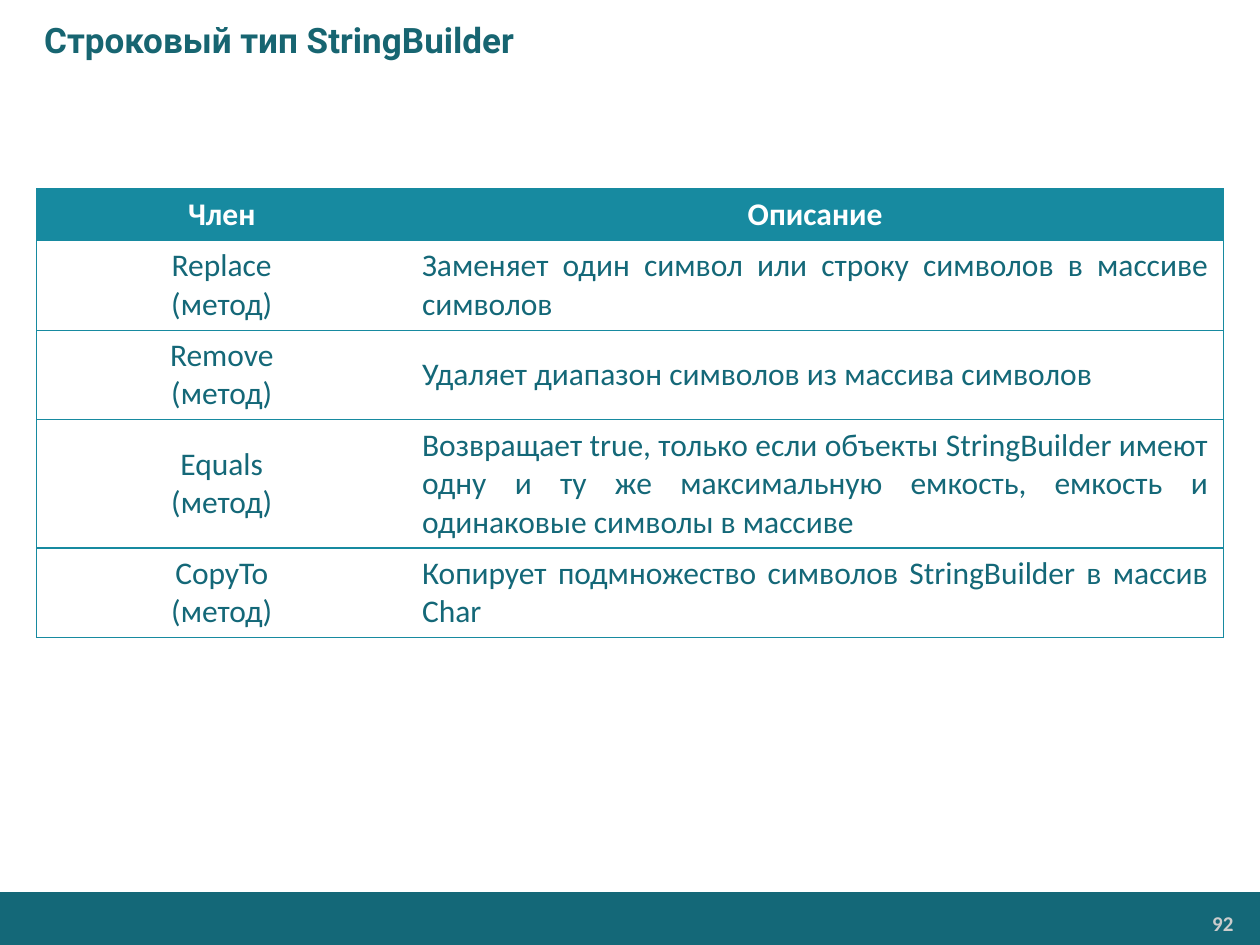
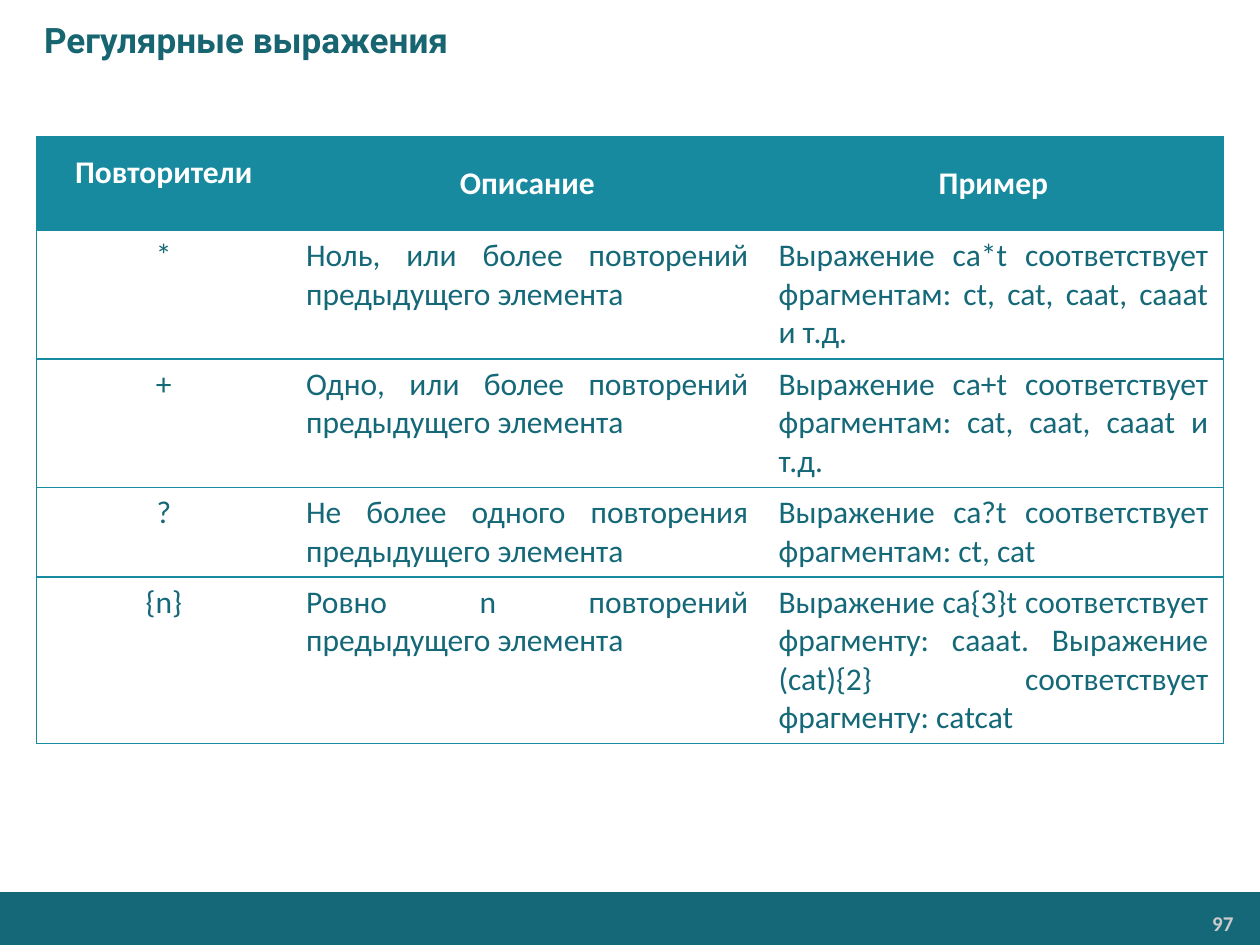
"""Build two reference slides with tables on StringBuilder members and regex quantifiers."""
from dataclasses import dataclass

from lxml.etree import SubElement
from pptx import Presentation
from pptx.dml.color import RGBColor
from pptx.enum.shapes import MSO_SHAPE
from pptx.enum.text import MSO_ANCHOR, MSO_AUTO_SIZE, PP_ALIGN
from pptx.oxml.ns import qn
from pptx.presentation import Presentation as Deck
from pptx.slide import Slide
from pptx.table import Table, _Cell
from pptx.text.text import TextFrame
from pptx.util import Inches, Pt

COLORS = {
    "band": "146878",
    "title": "176571",
    "header": "178AA0",
    "border": "178AA0",
    "text": "146878",
    "header_text": "FFFFFF",
    "cell": "FFFFFF",
    "number": "CCCCCC",
}
PLAIN_TABLE = "{2D5ABB26-0587-4C30-8999-92F81FD0307C}"
TITLE_FONT, BODY_FONT = "Roboto", "Calibri"
TABLE_LEFT, TABLE_WIDTH = 0.29, 9.42


@dataclass(frozen=True)
class TableSlide:
    """Describe one slide: its title, number and table."""
    title: str
    number: int
    top: float
    columns: tuple[float, ...]
    header_height: float
    lines: tuple[int, ...]
    body_anchor: MSO_ANCHOR
    rows: tuple[tuple[str, ...], ...]


SLIDES = (
    TableSlide(
        "Строковый тип StringBuilder", 92, 1.5, (2.94, 6.48), 0.41,
        (2, 2, 3, 2), MSO_ANCHOR.MIDDLE,
        (
            ("Член", "Описание"),
            ("Replace\n(метод)", "Заменяет один символ или строку символов в массиве символов"),
            ("Remove\n(метод)", "Удаляет диапазон символов из массива символов"),
            ("Equals\n(метод)", "Возвращает true, только если объекты StringBuilder имеют одну "
             "и ту же максимальную емкость, емкость и одинаковые символы в массиве"),
            ("СоруТо\n(метод)", "Копирует подмножество символов StringBuilder в массив Char"),
        ),
    ),
    TableSlide(
        "Регулярные выражения", 97, 1.08, (2.02, 3.75, 3.65), 0.75,
        (3, 3, 2, 4), MSO_ANCHOR.TOP,
        (
            ("Повторители", "Описание", "Пример"),
            ("*", "Ноль, или более повторений предыдущего элемента",
             "Выражение ca*t соответствует фрагментам: ct, cat, caat, caaat и т.д."),
            ("+", "Одно, или более повторений предыдущего элемента",
             "Выражение ca+t соответствует фрагментам: cat, caat, caaat и т.д."),
            ("?", "Не более одного повторения предыдущего элемента",
             "Выражение ca?t соответствует фрагментам: ct, cat"),
            ("{n}", "Ровно n повторений предыдущего элемента",
             "Выражение ca{3}t соответствует фрагменту: cаааt. "
             "Выражение (cat){2} соответствует фрагменту: cаtcat"),
        ),
    ),
)


def rgb(name: str) -> RGBColor:
    """Return a palette colour."""
    return RGBColor.from_string(COLORS[name])


def set_text(tf: TextFrame, text: str, font: str, size: int, color: str,
             bold: bool, align: PP_ALIGN) -> None:
    """Fill a text frame and format all of its runs alike."""
    tf.text = text
    tf.word_wrap = True
    for p in tf.paragraphs:
        p.alignment = align
        for r in p.runs:
            r.font.name = font
            r.font.size = Pt(size)
            r.font.bold = bold
            r.font.color.rgb = rgb(color)


def add_title(s: Slide, text: str) -> None:
    """Place and format the title placeholder."""
    sp = s.shapes.title
    sp.left, sp.top, sp.width, sp.height = Inches(0), Inches(0), Inches(10), Inches(0.63)
    tf = sp.text_frame
    set_text(tf, text, TITLE_FONT, 20, "title", True, PP_ALIGN.LEFT)
    tf.auto_size = MSO_AUTO_SIZE.NONE
    tf.vertical_anchor = MSO_ANCHOR.MIDDLE
    tf.margin_left = Inches(0.35)


def add_footer(s: Slide, number: int) -> None:
    """Draw the bottom band with the slide number."""
    band = s.shapes.add_shape(MSO_SHAPE.RECTANGLE, Inches(0), Inches(7.08),
                              Inches(10), Inches(0.42))
    band.shadow.inherit = False
    band.fill.solid()
    band.fill.fore_color.rgb = rgb("band")
    band.line.fill.background()
    sp = s.shapes.add_textbox(Inches(8.23), Inches(7.19), Inches(1.63), Inches(0.28))
    tf = sp.text_frame
    set_text(tf, str(number), BODY_FONT, 12, "number", True, PP_ALIGN.RIGHT)
    tf.margin_left = tf.margin_right = Inches(0.07)
    tf.margin_top = tf.margin_bottom = Inches(0.04)


def set_borders(cell: _Cell, sides: str) -> None:
    """Draw the given sides of a cell (letters L, R, T, B) and clear the others."""
    tc_pr = cell._tc.get_or_add_tcPr()
    for side in "LRTB":
        ln = SubElement(tc_pr, qn(f"a:ln{side}"), w=str(Pt(0.75)))
        if side in sides:
            fill = SubElement(ln, qn("a:solidFill"))
            SubElement(fill, qn("a:srgbClr"), val=COLORS["border"])
        else:
            SubElement(ln, qn("a:noFill"))


def format_cell(cell: _Cell, text: str, is_header: bool, is_first: bool, is_last: bool,
                anchor: MSO_ANCHOR) -> None:
    """Write one cell and set its fill, borders and alignment."""
    align = PP_ALIGN.CENTER if is_header or is_first else PP_ALIGN.JUSTIFY
    set_text(cell.text_frame, text, BODY_FONT, 18,
             "header_text" if is_header else "text", is_header, align)
    cell.vertical_anchor = MSO_ANCHOR.MIDDLE if is_header else anchor
    cell.margin_left = cell.margin_right = Inches(0.12)
    cell.margin_top = cell.margin_bottom = Inches(0.05)
    set_borders(cell, "TB" + "L" * is_first + "R" * is_last)
    cell.fill.solid()
    cell.fill.fore_color.rgb = rgb("header" if is_header else "cell")


def add_table(s: Slide, spec: TableSlide) -> Table:
    """Draw the table, with row heights that follow from the text line counts."""
    heights = [spec.header_height] + [round(0.1 + 0.305 * n, 2) for n in spec.lines]
    table = s.shapes.add_table(len(spec.rows), len(spec.columns), Inches(TABLE_LEFT),
                               Inches(spec.top), Inches(TABLE_WIDTH),
                               Inches(sum(heights))).table
    table._tbl.tblPr.find(qn("a:tableStyleId")).text = PLAIN_TABLE
    table.horz_banding = False
    for column, width in zip(table.columns, spec.columns):
        column.width = Inches(width)
    for i, (row, height) in enumerate(zip(spec.rows, heights)):
        table.rows[i].height = Inches(height)
        for j, text in enumerate(row):
            format_cell(table.cell(i, j), text, i == 0, j == 0,
                        j == len(row) - 1, spec.body_anchor)
    return table


def raise_first_heading(table: Table) -> None:
    """Set the first heading in tight lines, so that it sits above its neighbours."""
    cell = table.cell(0, 0)
    cell.margin_left = cell.margin_right = Inches(0.09)
    cell.margin_top = cell.margin_bottom = Inches(0)
    p = cell.text_frame.paragraphs[0]
    p.line_spacing = Pt(10)
    p.space_after = Pt(2)


def add_slide(prs: Deck, spec: TableSlide) -> Table:
    """Add one complete slide and return its table."""
    s = prs.slides.add_slide(prs.slide_layouts[5])
    add_footer(s, spec.number)
    add_title(s, spec.title)
    return add_table(s, spec)


def main() -> None:
    """Build and save the presentation."""
    prs = Presentation()
    prs.slide_width, prs.slide_height = Inches(10), Inches(7.5)
    members, quantifiers = [add_slide(prs, spec) for spec in SLIDES]
    raise_first_heading(quantifiers)
    prs.save("out.pptx")


if __name__ == "__main__":
    main()
